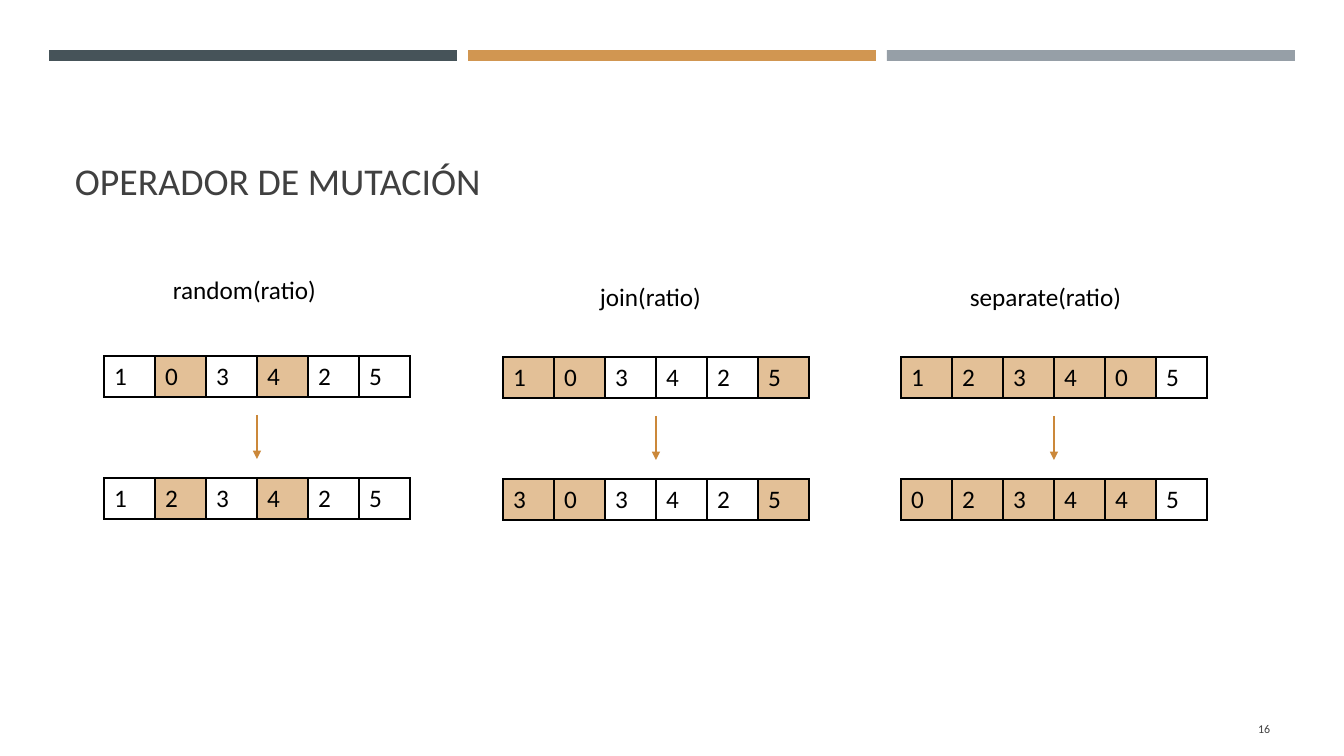
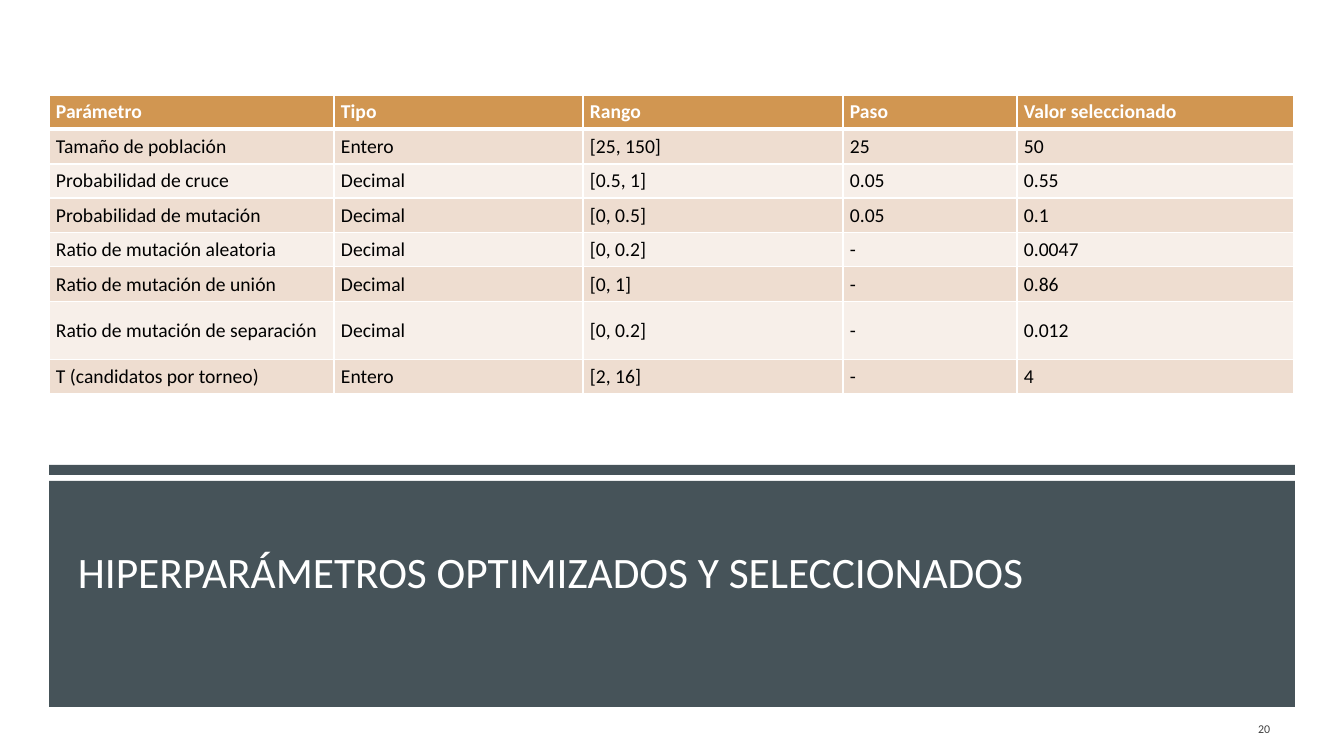
import lxml.etree
import pptx
import pptx.dml.color
import pptx.enum.shapes
import pptx.enum.text
import pptx.oxml
import pptx.oxml.ns
import pptx.util

PX = 12192000 / 1344  # EMU per px on a slide 1344 px wide
ANCHOR = pptx.enum.text.MSO_ANCHOR
ALIGN = pptx.enum.text.PP_ALIGN
RGB = pptx.dml.color.RGBColor.from_string
qn = pptx.oxml.ns.qn


class Theme:
    font = "Calibri"
    slate, amber, grey = "465359", "D19651", "969FA7"
    gene, arrow = "E3C097", "CB883A"
    row_tints = ("EEDDD0", "F7EFE9")
    ink, soft_ink, white = "000000", "404040", "FFFFFF"
    title, banner_title, body, cell, footer = 27, 31, 18, 14, 8.5


def emu(*lengths):
    return [pptx.util.Emu(round(length * PX)) for length in lengths]


def write(frame, text, size, colour, bold=False, align=ALIGN.LEFT, spacing=1.0):
    """Put one styled run in the first paragraph of a text frame."""
    frame.word_wrap = True
    paragraph = frame.paragraphs[0]
    paragraph.alignment = align
    paragraph.line_spacing = spacing
    run = paragraph.add_run()
    run.text = text
    run.font.name = Theme.font
    run.font.size = pptx.util.Pt(size)
    run.font.bold = bold
    run.font.color.rgb = RGB(colour)


deck = pptx.Presentation()
deck.slide_width, deck.slide_height = emu(1344, 756)
mutation, parameters = [deck.slides.add_slide(deck.slide_layouts[6]) for _ in range(2)]

# Bands
bands = [(mutation, (49 + 419 * i, 50, 408, 11), colour)
         for i, colour in enumerate((Theme.slate, Theme.amber, Theme.grey))]
bands += [(parameters, (49, 465, 1246, 10), Theme.slate),
          (parameters, (49, 481, 1246, 226), Theme.slate)]
for slide, box, colour in bands:
    band = slide.shapes.add_shape(pptx.enum.shapes.MSO_SHAPE.RECTANGLE, *emu(*box))
    band.shadow.inherit = False
    band.fill.solid()
    band.fill.fore_color.rgb = RGB(colour)
    band.line.fill.background()

# Titles and page numbers
headings = [
    (mutation, "OPERADOR DE MUTACIÓN", (65, 78, 1216, 131), Theme.title, Theme.soft_ink, "16"),
    (parameters, "HIPERPARÁMETROS OPTIMIZADOS Y SELECCIONADOS", (68, 504, 1209, 99),
     Theme.banner_title, Theme.white, "20"),
]
for slide, heading, box, size, colour, number in headings:
    title = slide.shapes.add_textbox(*emu(*box)).text_frame
    title.vertical_anchor = ANCHOR.BOTTOM
    write(title, heading, size, colour, spacing=0.9)
    page = slide.shapes.add_textbox(*emu(1164, 709, 116, 40)).text_frame
    page.vertical_anchor = ANCHOR.MIDDLE
    write(page, number, Theme.footer, Theme.soft_ink, align=ALIGN.RIGHT)

# Mutation operators: label, label box, chromosome corner, genes before and after, marked genes
GENE_W, GENE_H, AFTER_DROP = 51, 41, 122
operators = [
    ("random(ratio)", (163, 269, 180, 40), (104, 356), "103425", "123425", {1, 3}),
    ("join(ratio)", (590, 276, 131, 40), (503, 357), "103425", "303425", {0, 1, 5}),
    ("separate(ratio)", (960, 276, 190, 40), (901, 357), "123405", "023445", {0, 1, 2, 3, 4}),
]
tables = []  # table, rows of text, row fills, edge colour
for label, box, (left, top), before, after, marked in operators:
    write(mutation.shapes.add_textbox(*emu(*box)).text_frame, label, Theme.body, Theme.ink)
    fills = [Theme.gene if i in marked else None for i in range(len(before))]
    for genes, y in ((before, top), (after, top + AFTER_DROP)):
        chromosome = mutation.shapes.add_table(
            1, len(genes), *emu(left, y, GENE_W * len(genes), GENE_H)).table
        tables.append((chromosome, [genes], [fills], Theme.ink))

    middle = left + GENE_W * len(before) / 2
    arrow = mutation.shapes.add_connector(
        pptx.enum.shapes.MSO_CONNECTOR.STRAIGHT, *emu(middle, top + 59, middle, top + 103))
    arrow.line.color.rgb = RGB(Theme.arrow)
    arrow.line.width = pptx.util.Pt(1)
    head = lxml.etree.SubElement(arrow.line._get_or_add_ln(), qn("a:tailEnd"))
    head.set("type", "triangle")
    lxml.etree.SubElement(arrow._element.spPr, qn("a:effectLst"))

# Hyperparameters
settings = [
    ("Parámetro", "Tipo", "Rango", "Paso", "Valor seleccionado"),
    ("Tamaño de población", "Entero", "[25, 150]", "25", "50"),
    ("Probabilidad de cruce", "Decimal", "[0.5, 1]", "0.05", "0.55"),
    ("Probabilidad de mutación", "Decimal", "[0, 0.5]", "0.05", "0.1"),
    ("Ratio de mutación aleatoria", "Decimal", "[0, 0.2]", "-", "0.0047"),
    ("Ratio de mutación de unión", "Decimal", "[0, 1]", "-", "0.86"),
    ("Ratio de mutación de separación", "Decimal", "[0, 0.2]", "-", "0.012"),
    ("T (candidatos por torneo)", "Entero", "[2, 16]", "-", "4"),
]
widths = [285, 249, 260, 174, 277]
heights = [34, 35, 34, 35, 34, 35, 58, 34]
hyperparameters = parameters.shapes.add_table(
    len(heights), len(widths), *emu(49, 95, sum(widths), sum(heights))).table
for column, width in zip(hyperparameters.columns, emu(*widths)):
    column.width = width
for row, height in zip(hyperparameters.rows, emu(*heights)):
    row.height = height
row_fills = [Theme.amber] + [Theme.row_tints[i % 2] for i in range(len(settings) - 1)]
tables.append((hyperparameters, settings, [[fill] * len(widths) for fill in row_fills], Theme.white))

# Cells of every table
for table, rows, fills, edge_colour in tables:
    table.first_row = table.horz_banding = False
    has_header = table is hyperparameters
    for r, texts in enumerate(rows):
        for c, text in enumerate(texts):
            cell = table.cell(r, c)
            for side in "LRTB":
                under_header = has_header and (r, side) in ((0, "B"), (1, "T"))
                edge = lxml.etree.SubElement(cell._tc.get_or_add_tcPr(), qn(f"a:ln{side}"))
                edge.set("w", str(pptx.util.Pt(3 if under_header else 1)))
                paint = lxml.etree.SubElement(edge, qn("a:solidFill"))
                lxml.etree.SubElement(paint, qn("a:srgbClr")).set("val", edge_colour)
            if fills[r][c]:
                cell.fill.solid()
                cell.fill.fore_color.rgb = RGB(fills[r][c])
            else:
                cell.fill.background()
            if has_header:
                cell.vertical_anchor = ANCHOR.MIDDLE
                cell.margin_left, cell.margin_right = emu(7, 7)
                cell.margin_top, cell.margin_bottom = emu(4, 4)
            is_header = has_header and r == 0
            write(cell.text_frame, text, Theme.cell if has_header else Theme.body,
                  Theme.white if is_header else Theme.ink, bold=is_header)

deck.save("out.pptx")
